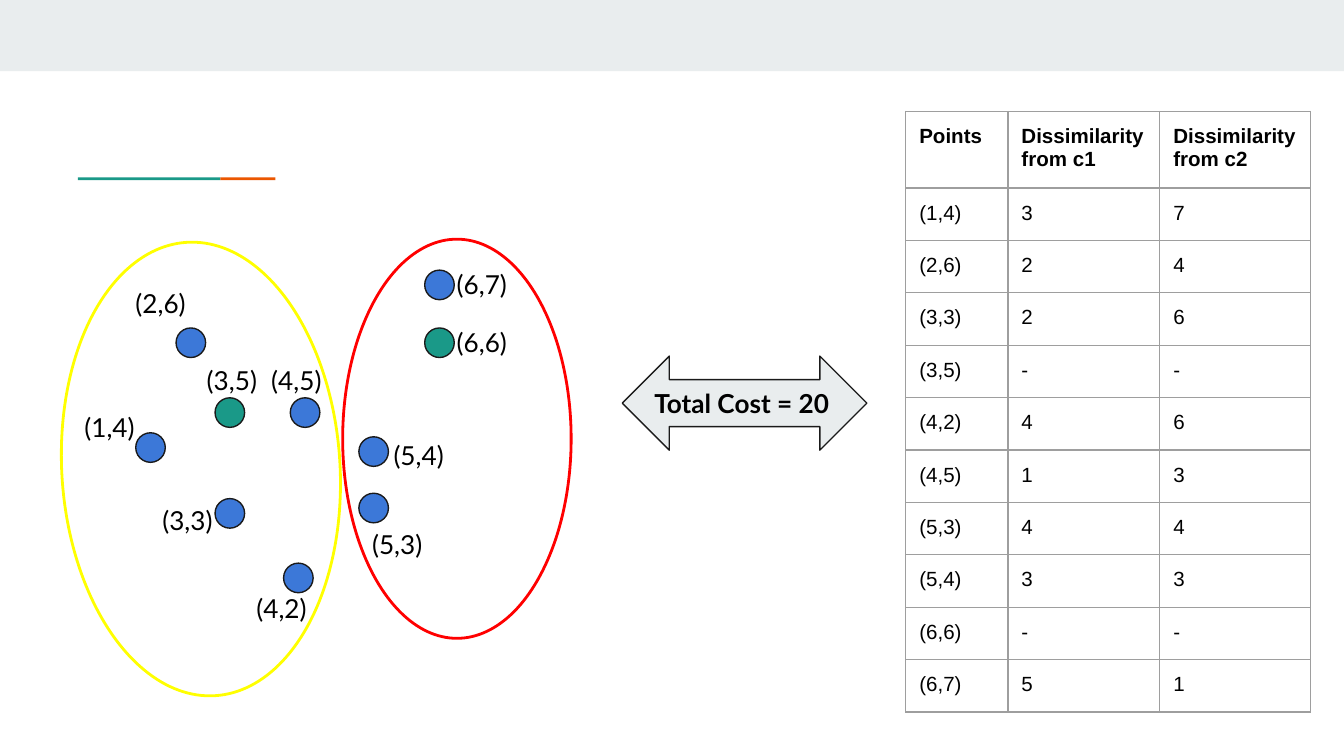
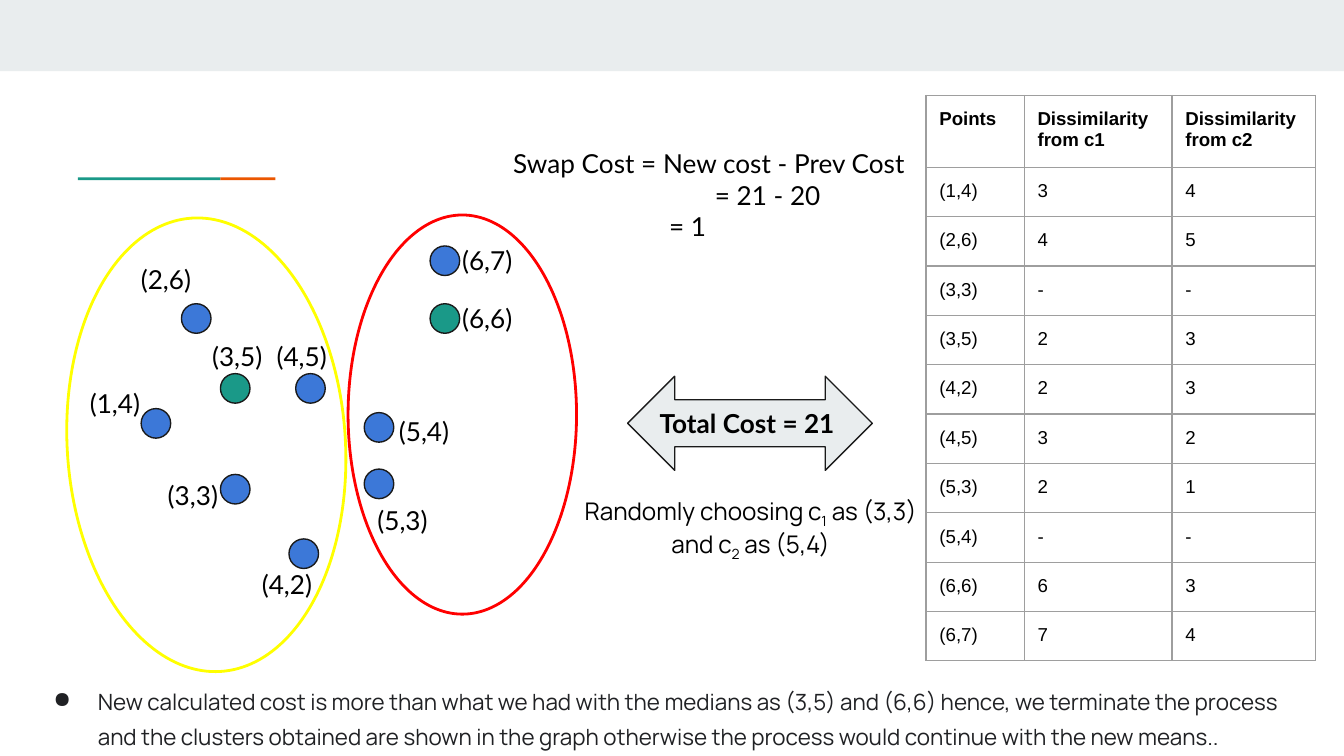
from lxml import etree
from pptx import Presentation
from pptx.dml.color import RGBColor
from pptx.enum.shapes import MSO_SHAPE as Shape
from pptx.enum.text import MSO_ANCHOR as Anchor, PP_ALIGN as Align
from pptx.oxml.ns import qn
from pptx.util import Inches, Pt

BAND, TEAL, ORANGE, BLUE = "E9EDEE", "1A9988", "EB5600", "3C78D8"
INK, BLACK, WHITE, BODY = "1A1A1A", "000000", "FFFFFF", "202124"
YELLOW, RED, GRID = "FFFF00", "FF0000", "9E9E9E"
HEADINGS = ["Points", "Dissimilarity from c1", "Dissimilarity from c2"]
DOT = 0.22

# Point label: dot left and top, label left and top
POINTS = {
    "(1,4)": (1.01, 3.22, 0.53, 2.96),
    "(2,6)": (1.31, 2.44, 0.91, 2.04),
    "(3,3)": (1.60, 3.71, 1.11, 3.65),
    "(3,5)": (1.60, 2.96, 1.44, 2.61),
    "(4,2)": (2.11, 4.19, 1.81, 4.31),
    "(4,5)": (2.16, 2.96, 1.92, 2.61),
    "(5,3)": (2.67, 3.67, 2.67, 3.83),
    "(5,4)": (2.67, 3.25, 2.83, 3.17),
    "(6,6)": (3.16, 2.44, 3.30, 2.33),
    "(6,7)": (3.16, 2.01, 3.30, 1.90),
}
MEDOIDS = {"(3,5)", "(6,6)"}


def color(hex_string):
    return RGBColor.from_string(hex_string)


def child(parent, tag, **attributes):
    return etree.SubElement(parent, qn(tag), **attributes)


class Deck:
    def __init__(self):
        self.prs = Presentation()
        self.prs.slide_width = Inches(10)
        self.prs.slide_height = Inches(10 * 9 / 16)
        self.slide = None

    def new_slide(self):
        self.slide = self.prs.slides.add_slide(self.prs.slide_layouts[6])
        # Top band and two-colour accent line
        self.shape(Shape.RECTANGLE, 0, 0, 10, 0.53, BAND)
        self.shape(Shape.RECTANGLE, 0.58, 1.32, 1.06, 0.02, TEAL)
        self.shape(Shape.RECTANGLE, 1.64, 1.32, 0.41, 0.02, ORANGE)

    def shape(self, kind, x, y, w, h, fill=None, line=None, width=0.75):
        shape = self.slide.shapes.add_shape(
            kind, Inches(x), Inches(y), Inches(w), Inches(h))
        shape.shadow.inherit = False
        if fill:
            shape.fill.solid()
            shape.fill.fore_color.rgb = color(fill)
        else:
            shape.fill.background()
        if line:
            shape.line.color.rgb = color(line)
            shape.line.width = Pt(width)
        else:
            shape.line.fill.background()
        return shape

    def style(self, paragraph, size, font="Lato", ink=BLACK, bold=False):
        paragraph.font.size, paragraph.font.name = Pt(size), font
        paragraph.font.bold = bold
        paragraph.font.color.rgb = color(ink)

    def inset(self, holder):
        holder.margin_left = holder.margin_right = Inches(0.1)
        holder.margin_top = holder.margin_bottom = Inches(0.1)

    def text(self, x, y, w, h, lines, size=14, align=Align.LEFT, **font):
        """Each line is a string or a list of (text, baseline) parts."""
        box = self.slide.shapes.add_textbox(
            Inches(x), Inches(y), Inches(w), Inches(h))
        frame = box.text_frame
        frame.word_wrap = True
        self.inset(frame)
        for i, line in enumerate(lines):
            paragraph = frame.paragraphs[0] if i == 0 else frame.add_paragraph()
            paragraph.alignment = align
            self.style(paragraph, size, **font)
            parts = [(line, 0)] if isinstance(line, str) else line
            for words, baseline in parts:
                run = paragraph.add_run()
                run.text = words
                if baseline:
                    run.font._element.set("baseline", str(baseline * 1000))
        return frame.paragraphs

    def indent(self, paragraph, left, first=0):
        properties = paragraph._p.get_or_add_pPr()
        properties.set("marL", str(Inches(left)))
        properties.set("indent", str(Inches(first)))
        return properties

    def bullet(self, x, y, w, h, words, size):
        paragraph = self.text(x, y, w, h, [words], size,
                              font="Manrope", ink=BODY)[0]
        paragraph.line_spacing = 1.3
        properties = self.indent(paragraph, 0.5, -0.33)
        mark = etree.Element(qn("a:buChar"), char="●")
        properties.find(qn("a:defRPr")).addprevious(mark)
        tint = etree.Element(qn("a:buClr"))
        child(tint, "a:srgbClr", val=BODY)
        mark.addprevious(tint)
        mark.addprevious(etree.Element(qn("a:buSzPts"), val=str(size * 100)))

    def table(self, x, y, columns, header_height, row_height, rows, size):
        heights = [header_height] + [row_height] * len(rows)
        table = self.slide.shapes.add_table(
            len(heights), len(columns), Inches(x), Inches(y),
            Inches(sum(columns)), Inches(sum(heights))).table
        table.first_row = table.horz_banding = False
        for column, width in zip(table.columns, columns):
            column.width = Inches(width)
        for row, height in zip(table.rows, heights):
            row.height = Inches(height)
        for r, values in enumerate([HEADINGS] + rows):
            for c, value in enumerate(values):
                cell = table.cell(r, c)
                cell.text = value
                cell.vertical_anchor = Anchor.TOP
                self.inset(cell)
                self.style(cell.text_frame.paragraphs[0], size, "Arial",
                           bold=r == 0)
                self.borders(cell)
                cell.fill.background()

    def borders(self, cell):
        properties = cell._tc.get_or_add_tcPr()
        for side in "LRTB":
            edge = child(properties, f"a:ln{side}", w=str(Pt(0.75)))
            child(child(edge, "a:solidFill"), "a:srgbClr", val=GRID)

    def clusters(self, dx=0, dy=0):
        left = self.shape(Shape.OVAL, 0.46 + dx, 1.8 + dy, 2.07, 3.38,
                          line=YELLOW, width=1.5)
        left.rotation = 356.4
        self.shape(Shape.OVAL, 2.55 + dx, 1.78 + dy, 1.7, 2.97,
                   WHITE, RED, 1.5)
        for point, (x, y, _, _) in POINTS.items():
            self.shape(Shape.OVAL, x + dx, y + dy, DOT, DOT,
                       TEAL if point in MEDOIDS else BLUE, INK)
        for point, (_, _, x, y) in POINTS.items():
            self.text(x + dx, y + dy, 0.7, 0.44, [point])

    def total_cost(self, x, y, cost):
        self.shape(Shape.LEFT_RIGHT_ARROW, x, y, 1.82, 0.7, BAND, INK)
        self.text(x + 0.14, y + 0.13, 1.7, 0.44,
                  [f"Total Cost = {cost}"], bold=True)


def cost_rows(from_c1, from_c2):
    return [list(row) for row in zip(POINTS, from_c1, from_c2)]


def main():
    deck = Deck()

    # Slide 1: cost with the first medoids
    deck.new_slide()
    deck.total_cost(4.63, 2.65, 20)
    deck.table(6.74, 0.83, [0.76, 1.13, 1.12], 0.57, 0.39,
               cost_rows("322-4143-5", "746-6343-1"), 11)
    deck.clusters()

    # Slide 2: cost after the swap
    deck.new_slide()
    deck.table(6.89, 0.71, [0.73, 1.1, 1.07], 0.48, 0.35,
               cost_rows("34-2232-67", "45-3321-34"), 10)
    deck.total_cost(4.67, 2.8, 21)
    swap_cost = deck.text(3.23, 1, 4.14, 1.14, [
        "Swap Cost = New cost - Prev Cost", "= 21 - 20", "= 1"])
    for line, left in zip(swap_cost, (0.49, 1.99, 1.65)):
        deck.indent(line, left)
    deck.clusters(0.04, -0.18)
    deck.bullet(0.13, 4.96, 9.74, 0.63,
                "New calculated cost is more than what we had with the medians "
                "as (3,5) and (6,6) hence, we terminate the process and the "
                "clusters obtained are shown in the graph otherwise the process "
                "would continue with the new means..", 12)
    deck.text(4.2, 3.59, 2.77, 0.64, [[
        ("Randomly choosing c", 0), ("1", -25), (" as (3,3) and c", 0),
        ("2", -25), (" as (5,4)", 0)]], 13, Align.CENTER, font="Manrope")

    deck.prs.save("out.pptx")


if __name__ == "__main__":
    main()
